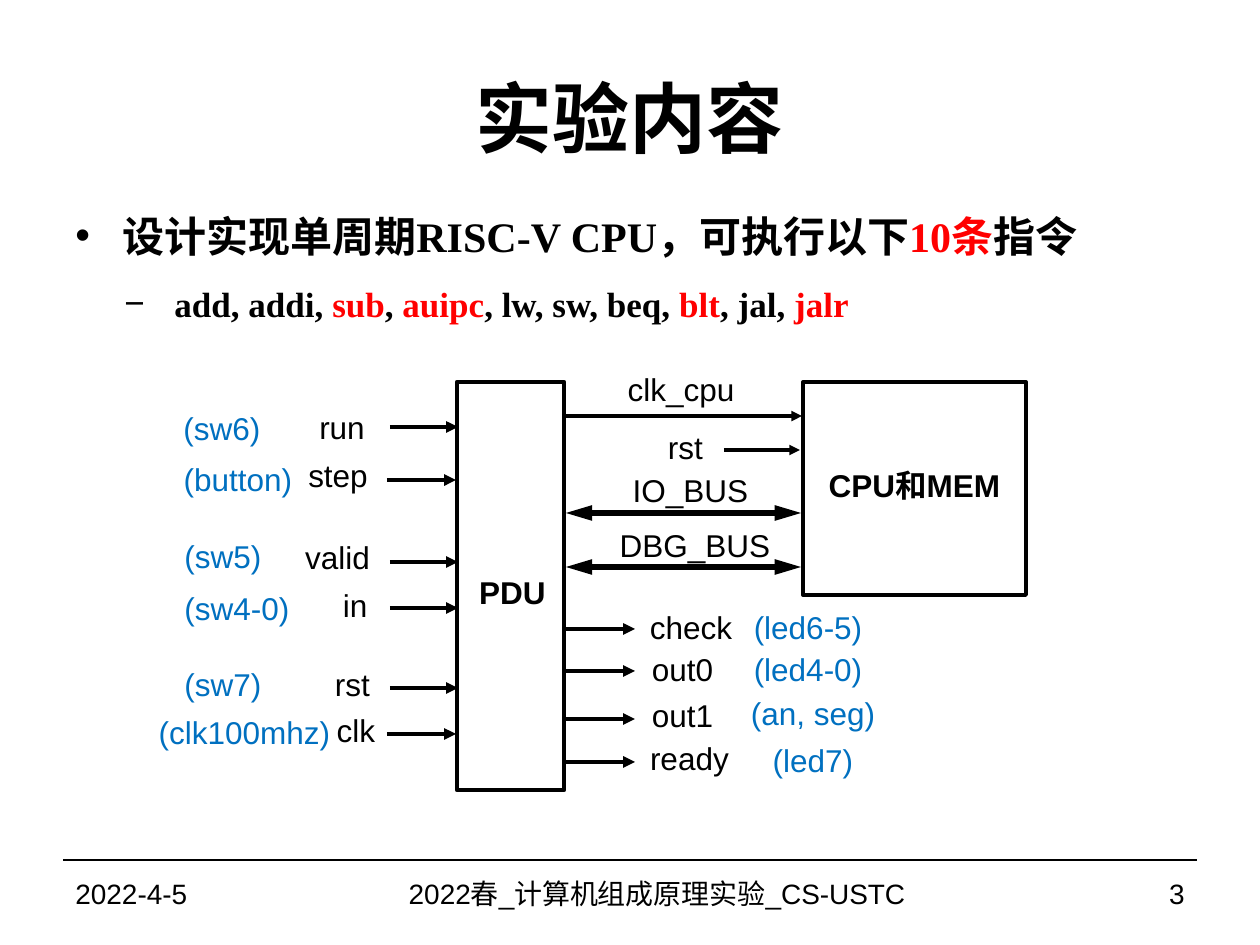
"""Builds the single-cycle RISC-V CPU lab slide with its PDU block diagram."""
import pptx
import pptx.dml.color
import pptx.enum.shapes
import pptx.enum.text
import pptx.oxml
import pptx.oxml.ns
import pptx.util

PX = 914400 / 126
BLACK, RED, BLUE = "000000", "FF0000", "0070C0"
ALIGN = pptx.enum.text.PP_ALIGN
MIDDLE = pptx.enum.text.MSO_ANCHOR.MIDDLE
NS = pptx.oxml.ns.nsdecls("a")


def rgb(value):
    return pptx.dml.color.RGBColor.from_string(value)


def add_text(p, text, color=BLACK, **fmt):
    r = p.add_run()
    r.text = text
    r.font.color.rgb = rgb(color)
    for name, value in {"name": "Arial", "size": pptx.util.Pt(18), **fmt}.items():
        setattr(r.font, name, value)


prs = pptx.Presentation()
prs.slide_width, prs.slide_height = pptx.util.Inches(10), pptx.util.Inches(7.5)
s = prs.slides.add_slide(prs.slide_layouts[6])

for text, left, top, width, height, align, size, bold in [
    ("实验内容", 63, 38, 1134, 157, ALIGN.CENTER, 44, True),
    ("2022-4-5", 63, 860, 294, 66, ALIGN.LEFT, 16, False),
    ("2022春_计算机组成原理实验_CS-USTC", 353, 860, 608, 66, ALIGN.CENTER, 16, False),
    ("3", 966, 860, 231, 66, ALIGN.RIGHT, 16, False),
]:
    tf = s.shapes.add_textbox(*[int(v * PX) for v in (left, top, width, height)]).text_frame
    tf.word_wrap, tf.vertical_anchor = True, MIDDLE
    p = tf.paragraphs[0]
    p.alignment = align
    add_text(p, text, size=pptx.util.Pt(size), bold=bold)

tf = s.shapes.add_textbox(*[int(v * PX) for v in (63, 204, 1113, 140)]).text_frame
tf.word_wrap = True
for i, (bullet, margin, indent, size, runs) in enumerate([
    ("•", 47, -47, 24, [("设计实现单周期RISC-V CPU，可执行以下", BLACK), ("10条", RED), ("指令", BLACK)]),
    ("−", 99, -50, 20, [("add, addi, ", BLACK), ("sub", RED), (", ", BLACK), ("auipc", RED),
                        (", lw, sw, beq, ", BLACK), ("blt", RED), (", jal, ", BLACK), ("jalr", RED)]),
]):
    p = tf.add_paragraph() if i else tf.paragraphs[0]
    p.level = i
    if i:
        p.space_before = pptx.util.Pt(12.5)
    pPr = p._p.get_or_add_pPr()
    pPr.set("marL", str(int(margin * PX)))
    pPr.set("indent", str(int(indent * PX)))
    pPr.append(pptx.oxml.parse_xml(f'<a:buFont {NS} typeface="Arial"/>'))
    pPr.append(pptx.oxml.parse_xml(f'<a:buChar {NS} char="{bullet}"/>'))
    for text, color in runs:
        add_text(p, text, color, name="Times New Roman", size=pptx.util.Pt(size), bold=True)

for left, top, width, height, weight, text in [
    (457, 382, 107, 408, 2.5, ""),
    (803, 382, 223, 213, 2.25, "CPU和MEM"),
]:
    sp = s.shapes.add_shape(pptx.enum.shapes.MSO_SHAPE.RECTANGLE,
                            *[int(v * PX) for v in (left, top, width, height)])
    sp.shadow.inherit = False
    sp.fill.background()
    sp.line.color.rgb = rgb(BLACK)
    sp.line.width = pptx.util.Pt(weight)
    if text:
        tf = sp.text_frame
        tf.word_wrap, tf.vertical_anchor = False, MIDDLE
        p = tf.paragraphs[0]
        p.alignment, p.line_spacing = ALIGN.CENTER, pptx.util.Pt(18)
        add_text(p, text, bold=True)

inputs = [(390, 458, y, 2.25, "tail") for y in (427, 562, 608, 688)]
inputs += [(387, 456, y, 2.25, "tail") for y in (480, 734)]
outputs = [(566, 635, y, 2.25, "tail") for y in (629, 671, 719, 762)]
buses = [(566, 801, y, 3, "both") for y in (513, 567)]
clocks = [(566, 802, 416, 2, "tail"), (724, 800, 450, 2, "tail")]
for x1, x2, y, weight, heads in inputs + outputs + buses + clocks + [(63, 1197, 860, 0.75, "")]:
    c = s.shapes.add_connector(pptx.enum.shapes.MSO_CONNECTOR.STRAIGHT,
                               *[int(v * PX) for v in (x1, y, x2, y)])
    c.line.color.rgb = rgb(BLACK)
    c.line.width = pptx.util.Pt(weight)
    length = "lg" if heads == "both" else "med"
    for end in {"both": ["headEnd", "tailEnd"], "tail": ["tailEnd"], "": []}[heads]:
        c.line._get_or_add_ln().append(pptx.oxml.parse_xml(
            f'<a:{end} {NS} type="triangle" w="med" len="{length}"/>'))
    c._element.spPr.append(pptx.oxml.parse_xml(f"<a:effectLst {NS}/>"))

for text, left, width, middle, color in [
    ("PDU", 479, 67, 593, BLACK),
    ("clk_cpu", 628, 106, 390, BLACK), ("rst", 668, 35, 448, BLACK),
    ("IO_BUS", 633, 115, 491, BLACK), ("DBG_BUS", 620, 150, 546, BLACK),
    ("run", 319, 46, 428, BLACK), ("(sw6)", 184, 76, 429, BLUE),
    ("step", 308, 60, 476, BLACK), ("(button)", 184, 108, 480, BLUE),
    ("valid", 305, 65, 558, BLACK), ("(sw5)", 185, 76, 557, BLUE),
    ("in", 343, 24, 606, BLACK), ("(sw4-0)", 185, 104, 609, BLUE),
    ("rst", 335, 35, 685, BLACK), ("(sw7)", 185, 76, 685, BLUE),
    ("clk", 337, 38, 731, BLACK), ("(clk100mhz)", 159, 171, 733, BLUE),
    ("check", 650, 82, 628, BLACK), ("(led6-5)", 754, 108, 628, BLUE),
    ("out0", 652, 61, 670, BLACK), ("(led4-0)", 754, 108, 670, BLUE),
    ("out1", 652, 61, 716, BLACK), ("(an, seg)", 751, 124, 714, BLUE),
    ("ready", 650, 79, 759, BLACK), ("(led7)", 773, 80, 761, BLUE),
]:
    box = (left - 5, middle - 20, width + 10, 38)
    tf = s.shapes.add_textbox(*[int(v * PX) for v in box]).text_frame
    for name, value in {"margin_left": 0, "margin_right": 0, "margin_top": 0, "margin_bottom": 0,
                        "word_wrap": False, "vertical_anchor": MIDDLE}.items():
        setattr(tf, name, value)
    p = tf.paragraphs[0]
    p.alignment = ALIGN.CENTER
    add_text(p, text, color, bold=text == "PDU")

prs.save("out.pptx")
